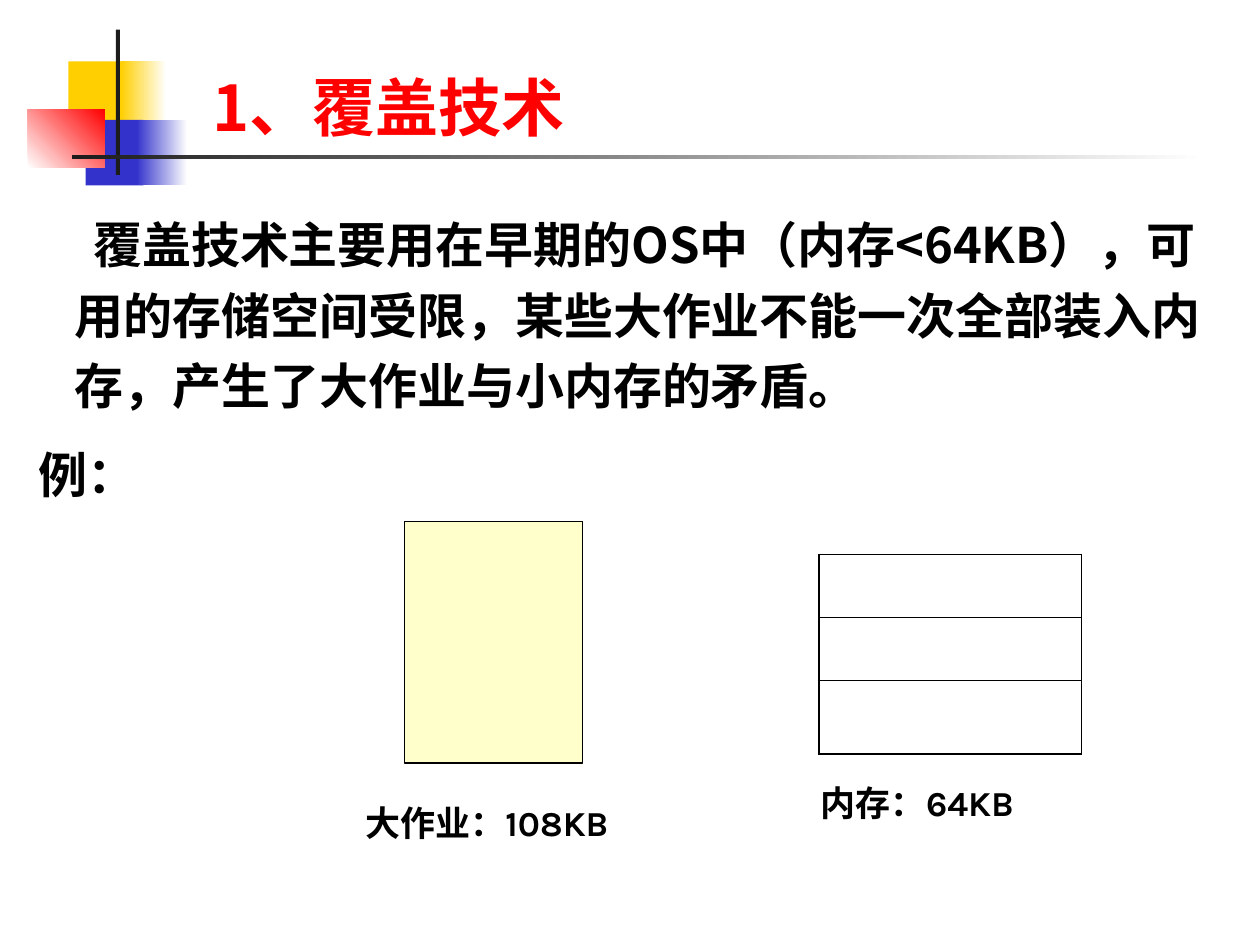
from lxml.etree import SubElement
from pptx import Presentation
from pptx.dml.color import RGBColor
from pptx.enum.shapes import MSO_SHAPE as Preset
from pptx.enum.text import MSO_ANCHOR as Anchor, MSO_AUTO_SIZE as AutoSize, PP_ALIGN as Align
from pptx.oxml.ns import qn
from pptx.util import Pt

CJK = "Noto Sans CJK SC"
LATIN = "Karla"


def rgb(value):
    return RGBColor.from_string(value)


def write(paragraph, text, size, color="000000", font=CJK, spacing=1.0,
          before=0, margin=0, indent=0):
    """Fill a paragraph with bold, left-aligned, unbulleted text."""
    props = paragraph._p.get_or_add_pPr()
    props.set("marL", str(Pt(margin)))
    props.set("indent", str(Pt(indent)))
    SubElement(props, qn("a:buNone"))
    paragraph.alignment = Align.LEFT
    paragraph.line_spacing = spacing
    paragraph.space_before = Pt(before)
    run = paragraph.add_run()
    run.text = text
    run.font.size, run.font.bold, run.font.name = Pt(size), True, font
    run.font.color.rgb = rgb(color)
    SubElement(run.font._element, qn("a:ea"), typeface=CJK)


class SlideBuilder:
    ink = "000000"

    def __init__(self, slide):
        self.slide = slide
        self.shapes = slide.shapes

    def placeholder(self, index, box, anchor):
        holder = self.slide.placeholders[index]
        holder.left, holder.top, holder.width, holder.height = map(Pt, box)
        frame = holder.text_frame
        frame.word_wrap = True
        frame.auto_size = AutoSize.NONE
        frame.vertical_anchor = anchor
        return frame

    def rectangle(self, box, color, fade_to=None, angle=0, outline=None):
        block = self.shapes.add_shape(Preset.RECTANGLE, *map(Pt, box))
        block.shadow.inherit = False
        if fade_to:
            block.fill.gradient()
            block.fill.gradient_angle = angle
            for stop, value in zip(block.fill.gradient_stops, (color, fade_to)):
                stop.color.rgb = rgb(value)
        else:
            block.fill.solid()
            block.fill.fore_color.rgb = rgb(color)
        if outline:
            block.line.color.rgb = rgb(self.ink)
            block.line.width = Pt(outline)
        else:
            block.line.fill.background()

    def label(self, box, text):
        frame = self.shapes.add_textbox(*map(Pt, box)).text_frame
        frame.word_wrap = True
        write(frame.paragraphs[0], text, 20, font=LATIN)

    def border(self, cell, side, width):
        line = SubElement(cell._tc.get_or_add_tcPr(), qn(f"a:ln{side}"), w=str(Pt(width)))
        fill = SubElement(line, qn("a:solidFill"))
        SubElement(fill, qn("a:srgbClr"), val=self.ink)

    def partitions(self, left, top, width, heights, outer=1.08, inner=0.45):
        """Draw empty memory partitions as a one-column table."""
        table = self.shapes.add_table(len(heights), 1, Pt(left), Pt(top),
                                      Pt(width), Pt(sum(heights))).table
        table.first_row = table.horz_banding = False
        last = len(heights) - 1
        for row, height in enumerate(heights):
            table.rows[row].height = Pt(height)
            cell = table.cell(row, 0)
            widths = {"L": outer, "R": outer,
                      "T": inner if row else outer,
                      "B": outer if row == last else inner}
            for side, line_width in widths.items():
                self.border(cell, side, line_width)
            cell.fill.background()


def main():
    deck = Presentation()
    deck.slide_width, deck.slide_height = Pt(720), Pt(540)
    page = SlideBuilder(deck.slides.add_slide(deck.slide_layouts[1]))

    page.rectangle((39, 35, 35, 37.5), "FFCF01")
    page.rectangle((69, 35, 26, 37.5), "FFCF01", fade_to="FFFFFF")
    page.rectangle((49, 68.5, 33, 37.5), "3333CC")
    page.rectangle((78, 68.5, 29, 37.5), "3333CC", fade_to="FFFFFF")
    page.rectangle((16, 62.5, 44, 33.5), "FFFFFF", fade_to="FF0000", angle=45)
    page.rectangle((66.3, 17, 2.2, 83), "1C1C1C")
    page.rectangle((41, 88.6, 648, 2.5), "1C1C1C", fade_to="FFFFFF")

    title = page.placeholder(0, (114, 26, 372, 60), Anchor.BOTTOM)
    write(title.paragraphs[0], "1、覆盖技术", 36, color="FF0000")

    body = page.placeholder(1, (8.6, 112.3, 689, 248.4), Anchor.TOP)
    write(body.paragraphs[0],
          "覆盖技术主要用在早期的OS中（内存<64KB），可用的存储空间受限，"
          "某些大作业不能一次全部装入内存，产生了大作业与小内存的矛盾。",
          28, spacing=1.2, margin=27, indent=10.5)
    write(body.add_paragraph(), "例：", 28, spacing=1.3, before=7, margin=6)

    page.rectangle((231, 298, 102, 138), "FFFFCC", outline=0.75)
    page.label((201.6, 454.3, 168, 32), "大作业：108KB")
    page.partitions(468, 316.8, 150, (36, 36, 42))
    page.label((462, 442.8, 168, 32), "内存：64KB")

    deck.save("out.pptx")


if __name__ == "__main__":
    main()
